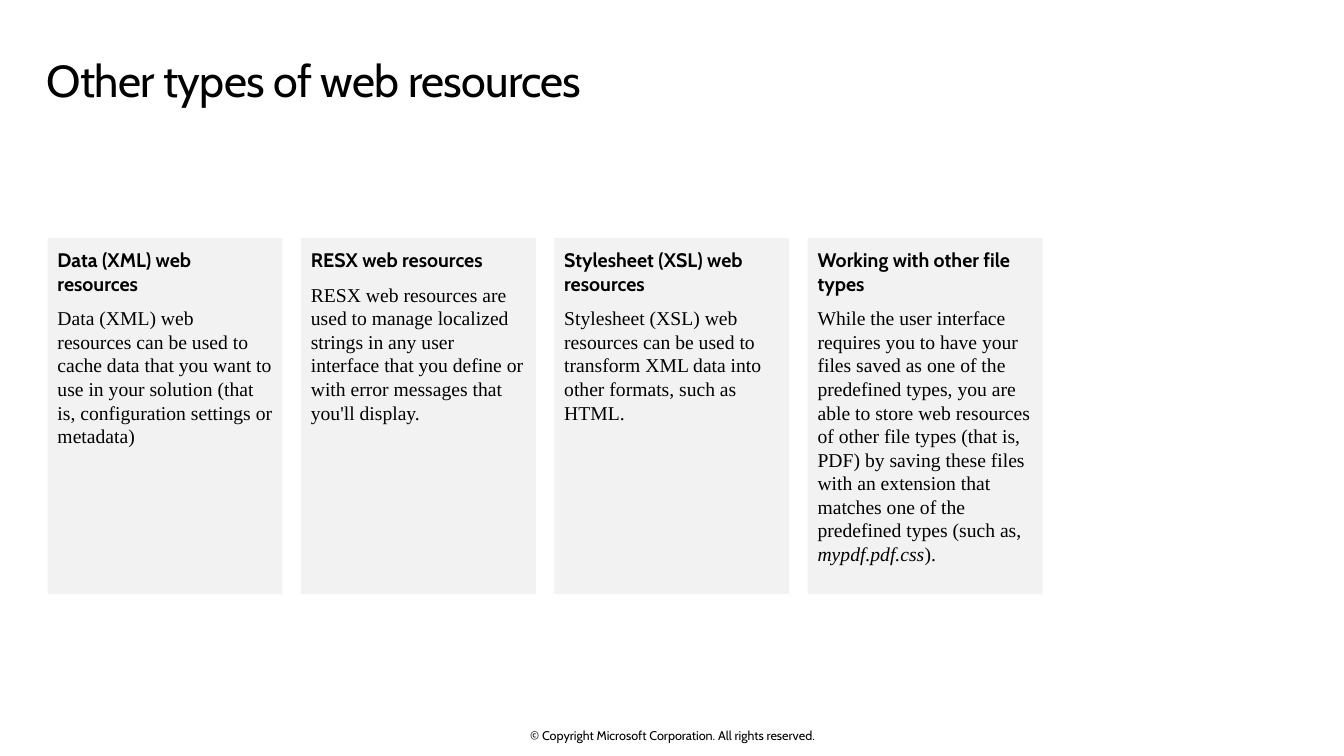
from pptx import Presentation
from pptx.dml.color import RGBColor
from pptx.enum.shapes import MSO_SHAPE
from pptx.enum.text import MSO_ANCHOR, PP_ALIGN
from pptx.util import Cm, Pt

BLACK = RGBColor(0x00, 0x00, 0x00)
GREY = RGBColor(0xF2, 0xF2, 0xF2)
SANS = "Cabin"
SERIF = "Times New Roman"

# Each card: heading, then body runs as (text, italic)
CARDS = [
    ("Data (XML) web resources",
     [("Data (XML) web resources can be used to cache data that you want to "
       "use in your solution (that is, configuration settings or metadata)", False)]),
    ("RESX web resources",
     [("RESX web resources are used to manage localized strings in any user "
       "interface that you define or with error messages that you'll display.", False)]),
    ("Stylesheet (XSL) web resources",
     [("Stylesheet (XSL) web resources can be used to transform XML data into "
       "other formats, such as HTML.", False)]),
    ("Working with other file types",
     [("While the user interface requires you to have your files saved as one "
       "of the predefined types, you are able to store web resources of other "
       "file types (that is, PDF) by saving these files with an extension that "
       "matches one of the predefined types (such as, ", False),
      ("mypdf.pdf.css", True),
      (").", False)]),
]


def add_run(para, text, size=14, font=SANS, bold=False, italic=False, track=None):
    run = para.add_run()
    run.text = text
    run.font.size = Pt(size)
    run.font.name = font
    run.font.bold = bold
    run.font.italic = italic
    run.font.color.rgb = BLACK
    if track is not None:  # letter spacing in hundredths of a point
        run._r.get_or_add_rPr().set("spc", str(track))


def set_frame(shape, left=0, top=0, right=0, bottom=0, anchor=MSO_ANCHOR.TOP):
    frame = shape.text_frame
    frame.word_wrap = True
    frame.margin_left, frame.margin_top = Cm(left), Cm(top)
    frame.margin_right, frame.margin_bottom = Cm(right), Cm(bottom)
    frame.vertical_anchor = anchor
    return frame


def add_title(slide, text):
    box = slide.shapes.add_textbox(Cm(1.17), Cm(1.22), Cm(31.5), Cm(1.88))
    para = set_frame(box, top=0.25, right=0.41, bottom=0.25).paragraphs[0]
    para.line_spacing = 0.9
    add_run(para, text, size=32, track=-50)


def add_card(slide, left, head, body):
    card = slide.shapes.add_shape(MSO_SHAPE.RECTANGLE, left, Cm(6), Cm(5.92), Cm(8.97))
    card.shadow.inherit = False
    card.fill.solid()
    card.fill.fore_color.rgb = GREY
    card.line.fill.background()
    frame = set_frame(card, 0.25, 0.25, 0.25, 0.25)

    # Heading
    para = frame.paragraphs[0]
    para.alignment = PP_ALIGN.LEFT
    para.space_after = Pt(6)
    add_run(para, head, bold=True)

    # Body
    para = frame.add_paragraph()
    para.alignment = PP_ALIGN.LEFT
    para.space_before = Pt(2)
    para.space_after = Pt(6)
    for text, italic in body:
        add_run(para, text, font=SERIF, italic=italic)


def add_footer(slide, text):
    box = slide.shapes.add_textbox(Cm(11.23), Cm(18.34), Cm(11.43), Cm(0.38))
    para = set_frame(box, anchor=MSO_ANCHOR.MIDDLE).paragraphs[0]
    para.alignment = PP_ALIGN.CENTER
    add_run(para, text, size=9)


def main():
    deck = Presentation()
    deck.slide_width, deck.slide_height = Cm(33.87), Cm(19.05)
    slide = deck.slides.add_slide(deck.slide_layouts[6])

    add_footer(slide, "© Copyright Microsoft Corporation. All rights reserved.")
    add_title(slide, "Other types of web resources")
    for col, (head, body) in enumerate(CARDS):
        add_card(slide, Cm(1.2 + 6.385 * col), head, body)

    deck.save("out.pptx")


if __name__ == "__main__":
    main()
